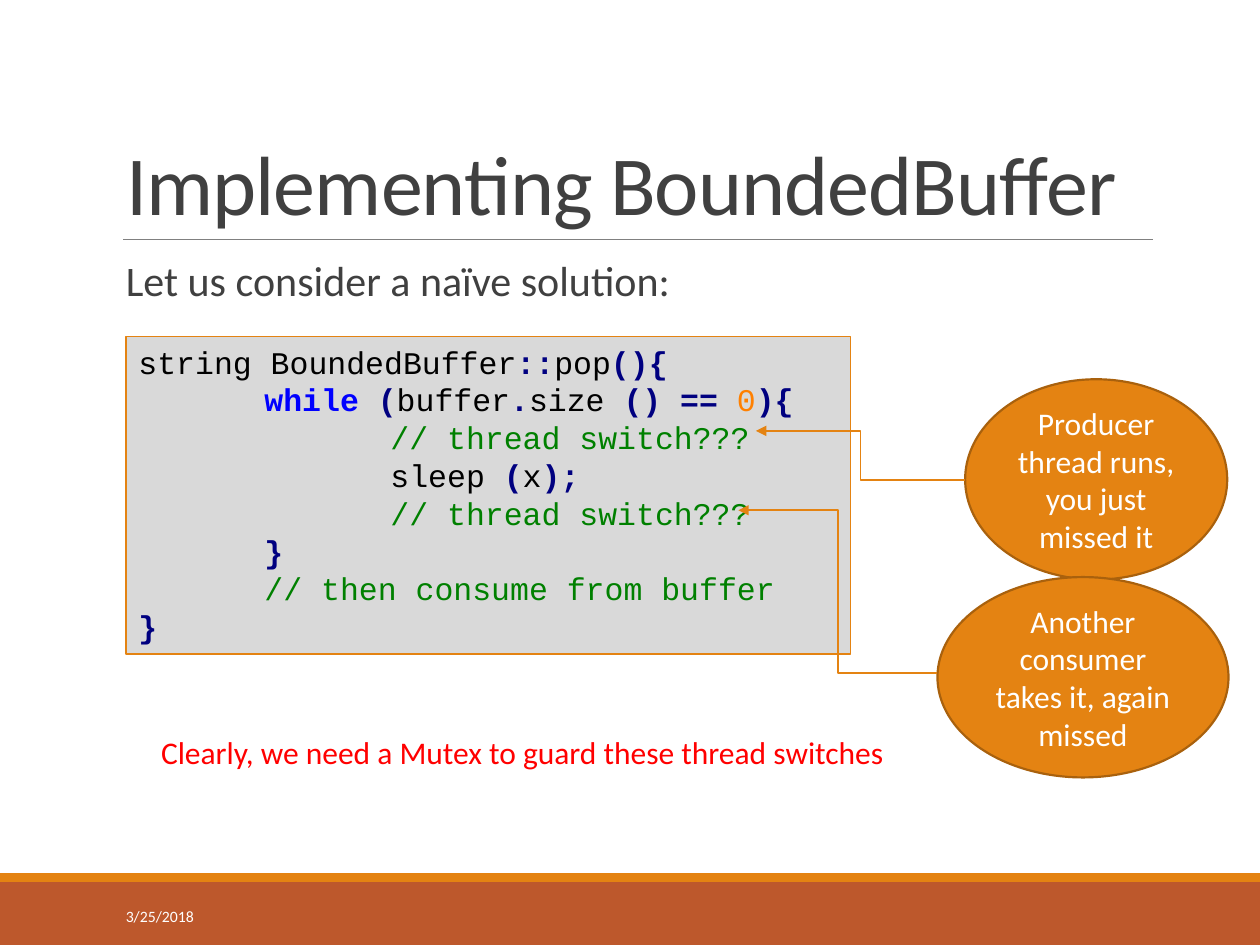
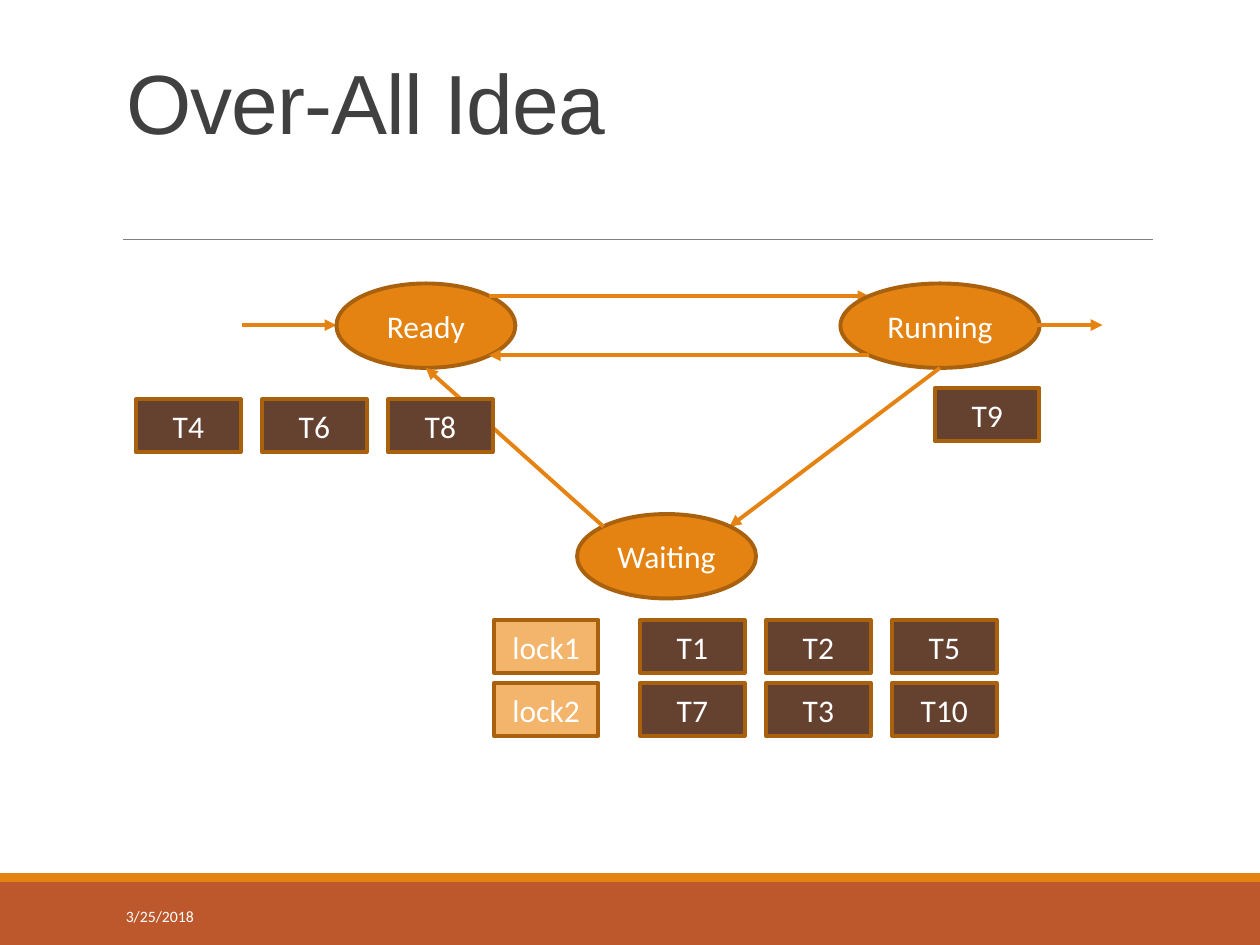
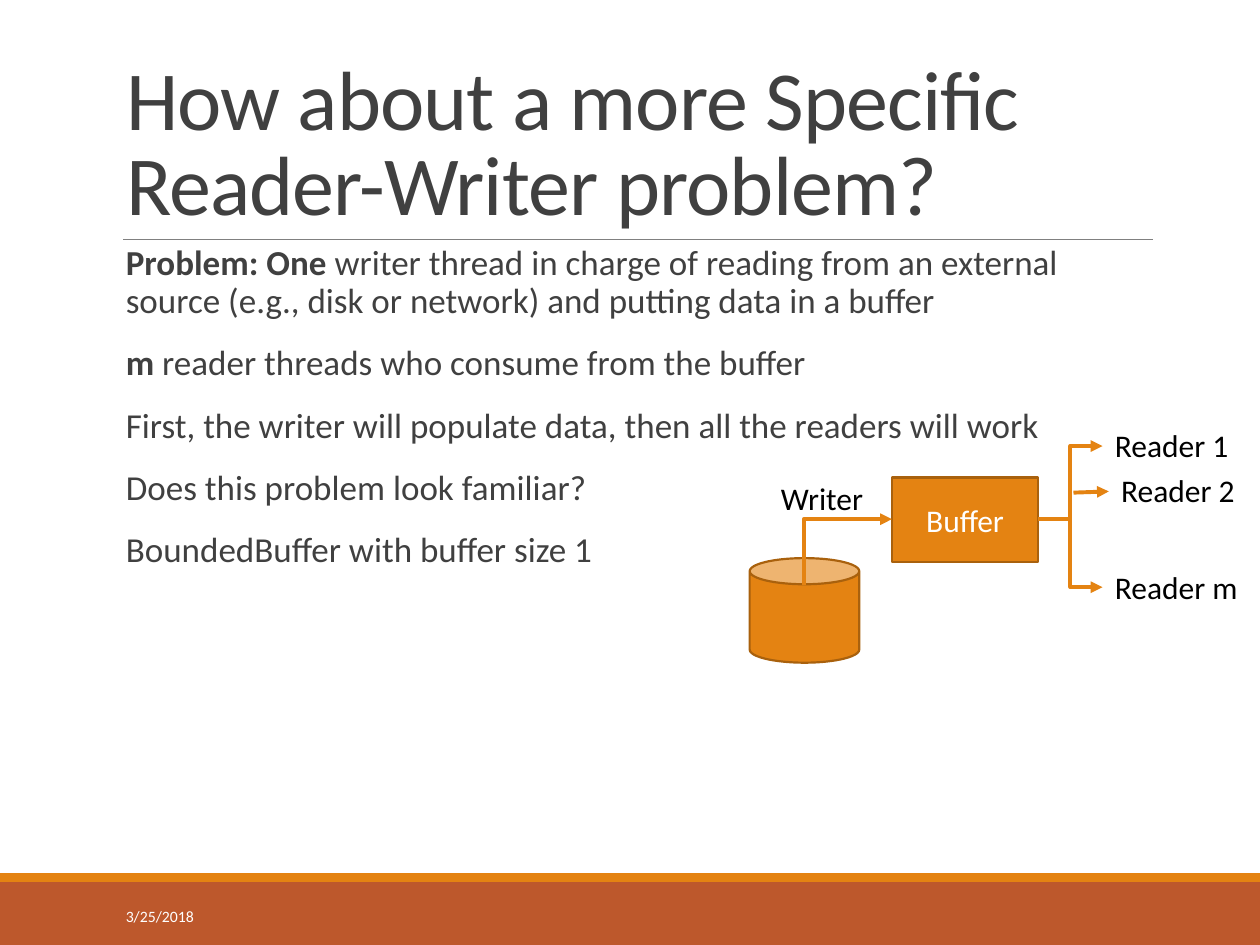
from lxml.etree import SubElement
from pptx import Presentation
from pptx.dml.color import RGBColor
from pptx.enum.shapes import MSO_CONNECTOR, MSO_SHAPE
from pptx.enum.text import MSO_ANCHOR, MSO_AUTO_SIZE, PP_ALIGN
from pptx.oxml.ns import qn
from pptx.util import Inches, Pt

ORANGE, DARK_ORANGE, RUST = "E48312", "A9610D", "BD582C"
BROWN, PEACH = "654130", "F3B56C"
WHITE, BLACK, RED = "FFFFFF", "000000", "FF0000"
TEXT_GRAY, RULE_GRAY, CODE_GRAY = "404040", "808080", "D9D9D9"
BODY_FONT, TITLE_FONT_ALT, CODE_FONT = "Calibri", "Arial", "Courier New"
TITLE_ONLY = 5

# Colour and weight of each kind of code token
PLAIN, MARK, KEYWORD = (BLACK, False), ("000080", True), ("0000FF", True)
NUMBER, COMMENT = ("FF8000", False), ("008000", False)

POP_CODE = [
    [("string BoundedBuffer", PLAIN), ("::", MARK), ("pop", PLAIN), ("(){", MARK)],
    [("\t", PLAIN), ("while ", KEYWORD), ("(", MARK), ("buffer", PLAIN), (".", MARK),
     ("size ", PLAIN), ("() == ", MARK), ("0", NUMBER), ("){", MARK)],
    [("\t\t", PLAIN), ("// thread switch???", COMMENT)],
    [("\t\tsleep ", PLAIN), ("(", MARK), ("x", PLAIN), (");", MARK)],
    [("\t\t", PLAIN), ("// thread switch???", COMMENT)],
    [("\t", PLAIN), ("}", MARK)],
    [("\t", PLAIN), ("// then consume from buffer", COMMENT)],
    [("}", MARK)],
]


def rgb(color):
    return RGBColor.from_string(color)


def inches(*lengths):
    return [Inches(length) for length in lengths]


def set_font(span, size, color, name=BODY_FONT, bold=False):
    font = span.font
    font.name, font.size, font.bold = name, Pt(size), bold
    font.color.rgb = rgb(color)


def add_tab_stops(para, *stops):
    tab_list = SubElement(para._p.get_or_add_pPr(), qn("a:tabLst"))
    for stop in stops:
        SubElement(tab_list, qn("a:tab"), pos=str(Inches(stop)), algn="l")


class SlideBuilder:
    """Holds the deck, its style and the slide being filled."""

    def __init__(self):
        self.deck = Presentation()
        self.deck.slide_width, self.deck.slide_height = inches(10, 7.5)
        self.slide = None

    def start(self, title, place=(0.9, 0.31, 8.25, 1.59), font=BODY_FONT):
        """Add a slide with its bands, title rule, title and date."""
        self.slide = self.deck.slides.add_slide(self.deck.slide_layouts[TITLE_ONLY])
        self.shape(MSO_SHAPE.RECTANGLE, (0, 7, 10, 0.5), fill=RUST, outline=None)
        self.shape(MSO_SHAPE.RECTANGLE, (0, 6.93, 10, 0.07), outline=None)
        self.line((0.98, 1.9), (9.15, 1.9), 0.5, color=RULE_GRAY, arrow=None)
        heading = self.slide.shapes.title
        heading.left, heading.top, heading.width, heading.height = inches(*place)
        frame = heading.text_frame
        frame.text = title
        frame.auto_size = MSO_AUTO_SIZE.NONE
        frame.vertical_anchor = MSO_ANCHOR.BOTTOM
        para = frame.paragraphs[0]
        para.alignment, para.line_spacing = PP_ALIGN.LEFT, 0.85
        span = para.runs[0]
        set_font(span, 48, TEXT_GRAY, font)
        span._r.get_or_add_rPr().set("spc", "-50")
        self.text("3/25/2018", (0.9, 7.07, 2.03, 0.4), 9, WHITE, anchor=MSO_ANCHOR.MIDDLE)

    def shape(self, kind, place, text="", fill=ORANGE, outline=DARK_ORANGE, weight=1.25):
        shape = self.slide.shapes.add_shape(kind, *inches(*place))
        shape.shadow.inherit = False
        shape.fill.solid()
        shape.fill.fore_color.rgb = rgb(fill)
        if outline:
            shape.line.color.rgb = rgb(outline)
            shape.line.width = Pt(weight)
        else:
            shape.line.fill.background()
        if text:
            frame = shape.text_frame
            frame.text = text
            frame.vertical_anchor = MSO_ANCHOR.MIDDLE
            frame.paragraphs[0].alignment = PP_ALIGN.CENTER
            set_font(frame.paragraphs[0].runs[0], 18, WHITE)
        return shape

    def line(self, start, end, weight=2.25, kind=MSO_CONNECTOR.STRAIGHT,
             color=ORANGE, arrow="tailEnd"):
        connector = self.slide.shapes.add_connector(kind, *inches(*start, *end))
        connector.line.color.rgb = rgb(color)
        connector.line.width = Pt(weight)
        properties = connector._element.spPr
        if arrow:
            SubElement(properties.find(qn("a:ln")), qn("a:" + arrow), type="triangle")
        SubElement(properties, qn("a:effectLst"))
        return connector

    def elbow(self, start, end, weight=2.25):
        self.line(start, end, weight, MSO_CONNECTOR.ELBOW)

    def corner(self, tip, foot):
        """Draw a single right angle from foot up and across to the arrow tip."""
        connector = self.line(tip, foot, kind=MSO_CONNECTOR.ELBOW, arrow="headEnd")
        connector._element.spPr.find(qn("a:prstGeom")).set("prst", "bentConnector2")

    def text(self, text, place, size=18, color=BLACK, wrap=True, anchor=MSO_ANCHOR.TOP):
        box = self.slide.shapes.add_textbox(*inches(*place))
        frame = box.text_frame
        frame.word_wrap, frame.vertical_anchor = wrap, anchor
        frame.text = text
        set_font(frame.paragraphs[0].runs[0], size, color)

    def body(self, paragraphs, top, size):
        """Add body text; each paragraph is a pair of bold lead and plain rest."""
        box = self.slide.shapes.add_textbox(*inches(0.9, top, 8.25, 4.4))
        frame = box.text_frame
        frame.word_wrap, frame.margin_right = True, 0
        for index, (lead, rest) in enumerate(paragraphs):
            para = frame.add_paragraph() if index else frame.paragraphs[0]
            para.line_spacing, para.space_after = 0.9, Pt(2)
            para.space_before = Pt(12 if index else 0)
            for content, bold in ((lead, True), (rest, False)):
                if content:
                    span = para.add_run()
                    span.text = content
                    set_font(span, size, TEXT_GRAY, bold=bold)

    def code(self, lines, place):
        panel = self.shape(MSO_SHAPE.RECTANGLE, place, fill=CODE_GRAY,
                           outline=ORANGE, weight=0.75)
        frame = panel.text_frame
        frame.vertical_anchor = MSO_ANCHOR.TOP
        for index, tokens in enumerate(lines):
            para = frame.add_paragraph() if index else frame.paragraphs[0]
            para.alignment = PP_ALIGN.LEFT
            add_tab_stops(para, 1, 2)
            for content, (color, bold) in tokens:
                span = para.add_run()
                span.text = content
                set_font(span, 18, color, CODE_FONT, bold)

    def state(self, name, left, top, width=1.42):
        self.shape(MSO_SHAPE.OVAL, (left, top, width, 0.67), name, weight=2.25)

    def tiles(self, names, left, top, fill=BROWN):
        """Lay out a row of equal tiles one inch apart."""
        for index, name in enumerate(names):
            self.shape(MSO_SHAPE.RECTANGLE, (left + index, top, 0.83, 0.42), name,
                       fill, weight=2.25)


def add_bounded_buffer(builder):
    builder.start("Implementing BoundedBuffer")
    builder.body([("", "Let us consider a naïve solution:")], 2.02, 24)
    builder.code(POP_CODE, (1, 2.67, 5.75, 2.52))
    builder.shape(MSO_SHAPE.OVAL, (7.66, 3.01, 2.08, 1.59),
                  "Producer thread runs, you just missed it")
    builder.elbow((7.66, 3.81), (6, 3.42), 1)
    builder.shape(MSO_SHAPE.OVAL, (7.44, 4.58, 2.31, 1.59),
                  "Another consumer takes it, again missed")
    builder.elbow((7.44, 5.34), (5.86, 4.05), 1)
    builder.text("Clearly, we need a Mutex to guard these thread switches",
                 (1.18, 5.77, 6.04, 0.4), color=RED, wrap=False)


def add_thread_states(builder):
    builder.start("Over-All Idea", (0.9, 0.29, 8.25, 0.96), TITLE_FONT_ALT)
    builder.line((1.92, 2.58), (2.67, 2.58))
    builder.state("Ready", 2.67, 2.25)
    builder.line((3.88, 2.35), (6.9, 2.35))
    builder.state("Running", 6.67, 2.25, 1.58)
    builder.line((6.9, 2.82), (3.88, 2.82))
    builder.line((7.46, 2.92), (5.79, 4.18))
    builder.state("Waiting", 4.58, 4.08)
    queues = [("lock1", ["T1", "T2", "T5"]), ("lock2", ["T7", "T3", "T10"])]
    for row, (lock, threads) in enumerate(queues):
        top = 4.92 + 0.5 * row
        builder.tiles([lock], 3.92, top, PEACH)
        builder.tiles(threads, 5.08, top)
    builder.line((4.79, 4.18), (3.38, 2.92))
    builder.tiles(["T4", "T6", "T8"], 1.08, 3.17)
    builder.tiles(["T9"], 7.42, 3.08)
    builder.line((8, 2.58), (8.75, 2.58))


def add_reader_writer(builder):
    builder.start("How about a more Specific Reader-Writer problem?")
    builder.body([
        ("Problem: One", " writer thread in charge of reading from an external source "
                         "(e.g., disk or network) and putting data in a buffer"),
        ("m", " reader threads who consume from the buffer"),
        ("", "First, the writer will populate data, then all the readers will work"),
        ("", "Does this problem look familiar?"),
        ("", "BoundedBuffer with buffer size 1"),
    ], 1.9, 20)
    builder.shape(MSO_SHAPE.RECTANGLE, (7.08, 3.79, 1.16, 0.67), "Buffer")
    builder.shape(MSO_SHAPE.CAN, (5.95, 4.43, 0.87, 0.83))
    builder.corner((7.08, 4.12), (6.38, 4.64))
    builder.text("Writer", (6.1, 3.75, 0.87, 0.4))
    for reader_level in (3.54, 4.66):
        builder.elbow((8.24, 4.12), (8.75, reader_level))
    builder.line((8.52, 3.91), (8.8, 3.9))
    for name, left, top in (("1", 8.75, 3.33), ("2", 8.8, 3.69), ("m", 8.75, 4.46)):
        builder.text(f"Reader {name}", (left, top, 1.22, 0.4))


def main():
    builder = SlideBuilder()
    add_bounded_buffer(builder)
    add_thread_states(builder)
    add_reader_writer(builder)
    builder.deck.save("out.pptx")


if __name__ == "__main__":
    main()
